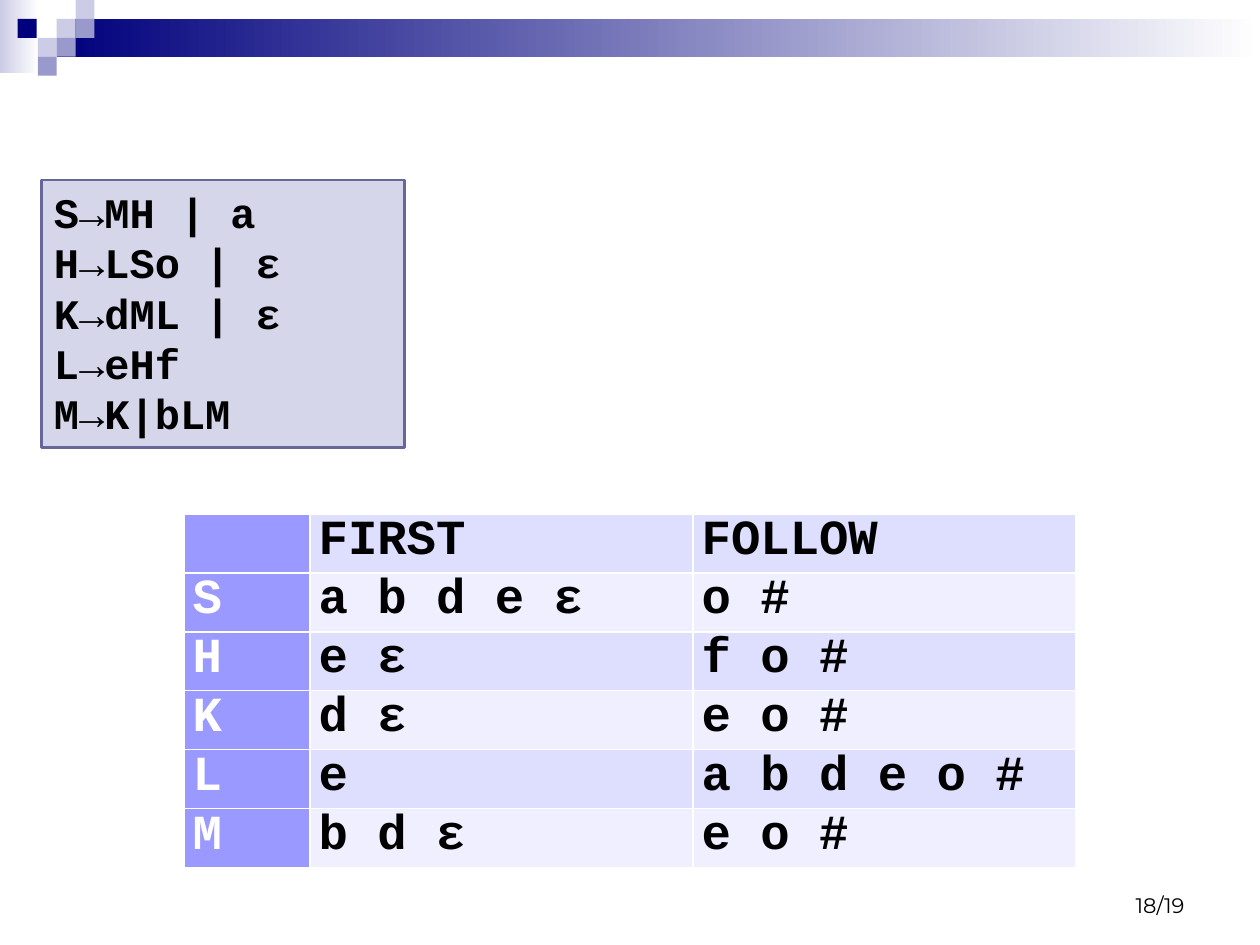
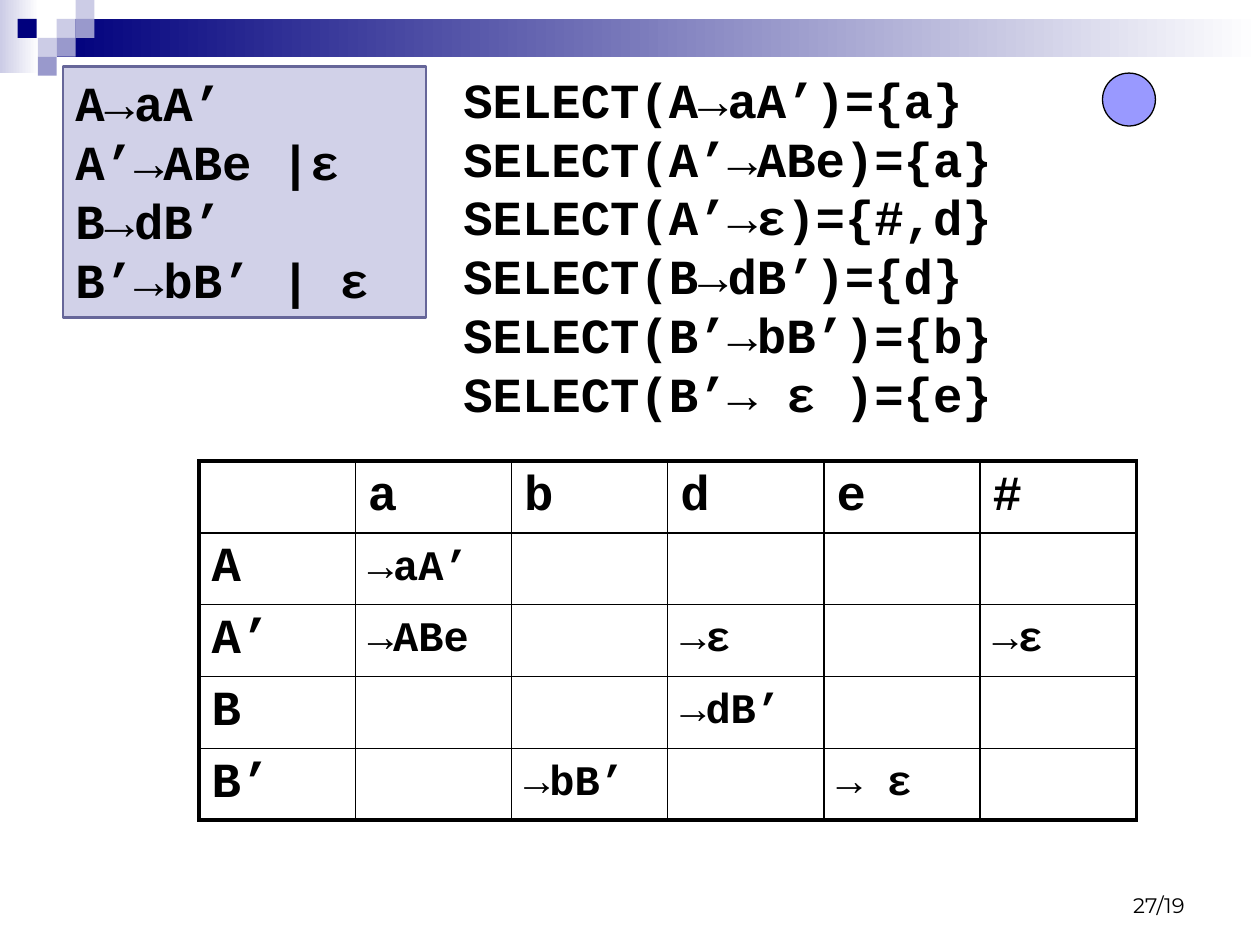
from lxml import etree
from pptx import Presentation
from pptx.dml.color import RGBColor
from pptx.enum.shapes import MSO_SHAPE
from pptx.enum.text import MSO_ANCHOR, MSO_AUTO_SIZE, PP_ALIGN
from pptx.oxml import ns
from pptx.util import Inches, Pt

BLACK = RGBColor(0x00, 0x00, 0x00)
WHITE = RGBColor(0xFF, 0xFF, 0xFF)
NAVY = RGBColor(0x00, 0x00, 0x7D)
MIST = RGBColor(0xCC, 0xCC, 0xE6)
LILAC = RGBColor(0x99, 0x99, 0xCC)
SLATE = RGBColor(0x66, 0x66, 0x99)
VIOLET = RGBColor(0x99, 0x99, 0xFF)
ROW_DARK = RGBColor(0xDE, 0xDE, 0xFF)
ROW_LIGHT = RGBColor(0xEF, 0xEF, 0xFF)
CODE_FONT = "Courier New"
FOOTER_FONT = "Montserrat"
TILE = 0.15
TILES = [(0.45, 0.15, MIST), (0.6, 0, MIST), (0.6, 0.15, LILAC), (0.3, 0.3, MIST),
         (0.14, 0.15, NAVY), (0.45, 0.3, LILAC), (0.3, 0.45, LILAC)]

SETS_GRAMMAR = ["S→MH | a", "H→LSo | ε", "K→dML | ε", "L→eHf", "M→K|bLM"]
SETS = [["", "FIRST", "FOLLOW"],
        ["S", "a b d e ε", "o #"],
        ["H", "e ε", "f o #"],
        ["K", "d ε", "e o #"],
        ["L", "e", "a b d e o #"],
        ["M", "b d ε", "e o #"]]

LL1_GRAMMAR = ["A→aA’", "A’→ABe |ε", "B→dB’", "B’→bB’ | ε"]
SELECTS = ["SELECT(A→aA’)={a}", "SELECT(A’→ABe)={a}", "SELECT(A’→ε)={#,d}",
           "SELECT(B→dB’)={d}", "SELECT(B’→bB’)={b}", "SELECT(B’→ ε )={e}"]
PARSE_TABLE = [["", "a", "b", "d", "e", "#"],
               ["A", "→aA’", "", "", "", ""],
               ["A’", "→ABe", "", "→ε", "", "→ε"],
               ["B", "", "", "→dB’", "", ""],
               ["B’", "", "→bB’", "", "→ ε", ""]]


def inches(*lengths):
    """Convert plain numbers to lengths."""
    return [Inches(length) for length in lengths]


def write(frame, lines, size=28, font=CODE_FONT, color=BLACK, bold=True, align=PP_ALIGN.LEFT):
    """Fill a text frame with one formatted paragraph per line."""
    for index, line in enumerate(lines):
        paragraph = frame.paragraphs[0] if index == 0 else frame.add_paragraph()
        paragraph.alignment = align
        run = paragraph.add_run()
        run.text = line
        run.font.size = Pt(size)
        run.font.name = font
        run.font.color.rgb = color
        run.font.bold = bold


def add_figure(shapes, kind, box, color, line=None, width=0.75):
    """Add a flat filled shape, with an outline if a line colour is given."""
    figure = shapes.add_shape(kind, *inches(*box))
    figure.shadow.inherit = False
    figure.fill.solid()
    figure.fill.fore_color.rgb = color
    if line is None:
        figure.line.fill.background()
    else:
        figure.line.color.rgb = line
        figure.line.width = Pt(width)
    return figure


def add_fade(shapes, box, color):
    """Add a band that fades from a colour to white."""
    band = add_figure(shapes, MSO_SHAPE.RECTANGLE, box, color)
    band.fill.gradient()
    band.fill.gradient_angle = 0
    for stop, position, shade in zip(band.fill.gradient_stops, (0, 1), (color, WHITE)):
        stop.position = position
        stop.color.rgb = shade


def add_label(slide, box, lines, anchor=MSO_ANCHOR.TOP, **style):
    """Add a text box."""
    frame = slide.shapes.add_textbox(*inches(*box)).text_frame
    frame.word_wrap = True
    frame.vertical_anchor = anchor
    write(frame, lines, **style)


def add_grammar(slide, box, rules, opacity, size):
    """Add a translucent box that lists grammar rules."""
    panel = add_figure(slide.shapes, MSO_SHAPE.RECTANGLE, box, MIST, SLATE, 1.5)
    tint = panel.fill._xPr.find(".//" + ns.qn("a:srgbClr"))
    etree.SubElement(tint, ns.qn("a:alpha"), val=str(opacity * 1000))
    frame = panel.text_frame
    frame.word_wrap = True
    frame.auto_size = MSO_AUTO_SIZE.SHAPE_TO_FIT_TEXT
    frame.vertical_anchor = MSO_ANCHOR.TOP
    write(frame, rules, size=size)


def set_borders(cell, color, widths):
    """Draw the left, right, top and bottom borders of a cell."""
    properties = cell._tc.get_or_add_tcPr()
    for index, (side, width) in enumerate(zip("LRTB", widths)):
        border = etree.Element(ns.qn("a:ln" + side), w=str(Pt(width)))
        fill = etree.SubElement(border, ns.qn("a:solidFill"))
        etree.SubElement(fill, ns.qn("a:srgbClr"), val=str(color))
        properties.insert(index, border)


def add_grid(slide, left, top, widths, row_height, rows):
    """Add an unstyled table and return it."""
    box = inches(left, top, sum(widths), row_height * len(rows))
    table = slide.shapes.add_table(len(rows), len(widths), *box).table
    table.first_row = table.horz_banding = False
    for column, width in zip(table.columns, widths):
        column.width = Inches(width)
    for row in table.rows:
        row.height = Inches(row_height)
    return table


def add_sets_table(slide):
    """Add the banded table of FIRST and FOLLOW sets."""
    table = add_grid(slide, 1.46, 4.08, [1, 3.04, 3.04], 0.44, SETS)
    for r, row in enumerate(SETS):
        for c, entry in enumerate(row):
            cell = table.cell(r, c)
            cell.margin_left = cell.margin_right = Inches(0.07)
            cell.margin_top = cell.margin_bottom = 0
            cell.fill.solid()
            cell.fill.fore_color.rgb = VIOLET if c == 0 else (ROW_DARK, ROW_LIGHT)[r % 2]
            set_borders(cell, WHITE, [1] * 4)
            if entry:
                write(cell.text_frame, [entry], color=BLACK if c else WHITE,
                      align=PP_ALIGN.JUSTIFY)


def add_parse_table(slide):
    """Add the ruled parse table with a heavy outer frame."""
    last_row, last_column = len(PARSE_TABLE) - 1, len(PARSE_TABLE[0]) - 1
    table = add_grid(slide, 1.58, 3.66, [1.24] * (last_column + 1), 0.57, PARSE_TABLE)
    for r, row in enumerate(PARSE_TABLE):
        for c, entry in enumerate(row):
            cell = table.cell(r, c)
            cell.vertical_anchor = MSO_ANCHOR.MIDDLE
            cell.fill.background()
            outer = (c == 0, c == last_column, r == 0, r == last_row)
            set_borders(cell, BLACK, [2.25 if edge else 1 for edge in outer])
            if entry:
                write(cell.text_frame, [entry], size=24 if r and c else 28)


def add_page(deck, number):
    """Add a slide with the shared header and page number."""
    slide = deck.slides.add_slide(deck.slide_layouts[6])
    header = slide.shapes.add_group_shape().shapes
    add_fade(header, (0, 0, 0.31, 0.58), MIST)
    add_fade(header, (0.45, 0.15, 9.55, 0.3), NAVY)
    for left, top, color in TILES:
        add_figure(header, MSO_SHAPE.RECTANGLE, (left, top, TILE, TILE), color)
    add_label(slide, (7.17, 6.83, 2.33, 0.5), [number], anchor=MSO_ANCHOR.BOTTOM,
              size=12, font=FOOTER_FONT, bold=False, align=PP_ALIGN.RIGHT)
    return slide


def main():
    """Build both slides and save the deck."""
    deck = Presentation()
    deck.slide_width, deck.slide_height = inches(10, 7.5)

    sets = add_page(deck, "18/19")
    add_sets_table(sets)
    add_grammar(sets, (0.33, 1.43, 2.88, 2.12), SETS_GRAMMAR, opacity=80, size=24)

    parsing = add_page(deck, "27/19")
    add_label(parsing, (3.58, 0.5, 5.5, 2.92), SELECTS)
    add_grammar(parsing, (0.5, 0.53, 2.88, 1.99), LL1_GRAMMAR, opacity=90, size=28)
    add_parse_table(parsing)
    add_figure(parsing.shapes, MSO_SHAPE.OVAL, (8.75, 0.58, 0.42, 0.42), VIOLET, BLACK)

    deck.save("out.pptx")


main()
